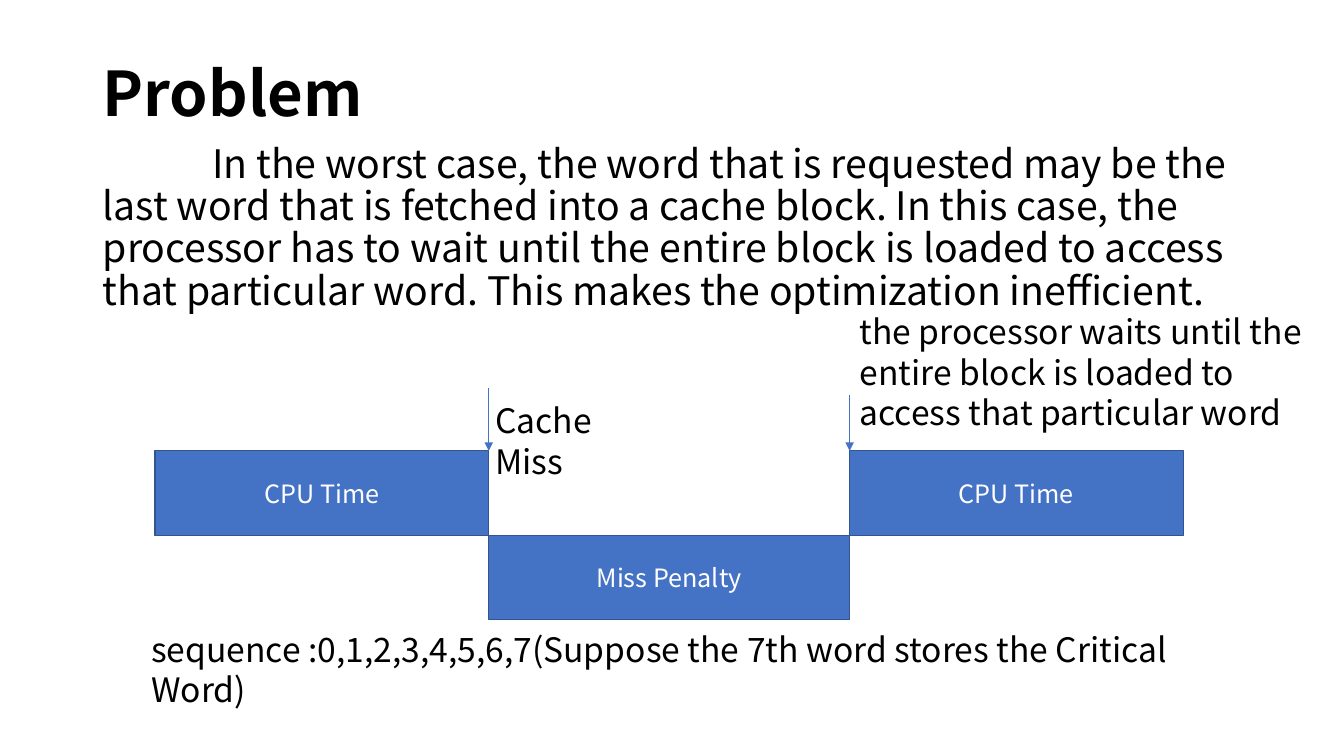
from lxml.etree import SubElement
from pptx import Presentation
from pptx.dml.color import RGBColor
from pptx.enum.shapes import MSO_CONNECTOR as Connector, MSO_SHAPE as Shape
from pptx.enum.text import MSO_ANCHOR as Anchor, PP_ALIGN as Align
from pptx.oxml.ns import qn
from pptx.util import Cm, Pt

COLORS = {"text": "000000", "block": "4472C4", "outline": "325491", "label": "FFFFFF"}
FONT = "Noto Sans CJK SC"
BODY = (
    "In the worst case, the word that is requested may be the last word that is "
    "fetched into a cache block. In this case, the processor has to wait until the "
    "entire block is loaded to access that particular word. This makes the "
    "optimization inefficient."
)
WAIT = "the processor waits until the entire block is loaded to access that particular word"
SEQUENCE = "sequence :0,1,2,3,4,5,6,7(Suppose the 7th word stores the Critical Word)"


def color(name):
    return RGBColor.from_string(COLORS[name])


def write(shape, text, size, name="text", bold=False):
    shape.text_frame.word_wrap = True
    paragraph = shape.text_frame.paragraphs[0]
    run = paragraph.add_run()
    run.text = text
    run.font.name = FONT
    run.font.size = Pt(size)
    run.font.bold = bold
    run.font.color.rgb = color(name)
    return paragraph


def add_text(slide, left, top, width, height, text, size, bold=False):
    shape = slide.shapes.add_textbox(Cm(left), Cm(top), Cm(width), Cm(height))
    return shape, write(shape, text, size, bold=bold)


def add_block(slide, left, top, width, height, text):
    shape = slide.shapes.add_shape(
        Shape.RECTANGLE, Cm(left), Cm(top), Cm(width), Cm(height)
    )
    shape.shadow.inherit = False
    shape.fill.solid()
    shape.fill.fore_color.rgb = color("block")
    shape.line.color.rgb = color("outline")
    shape.line.width = Pt(1)
    shape.text_frame.vertical_anchor = Anchor.MIDDLE
    write(shape, text, 18, "label").alignment = Align.CENTER


def add_down_arrow(slide, x, top, bottom):
    arrow = slide.shapes.add_connector(
        Connector.STRAIGHT, Cm(x), Cm(top), Cm(x), Cm(bottom)
    )
    arrow.line.color.rgb = color("block")
    arrow.line.width = Pt(0.5)
    SubElement(arrow.line._get_or_add_ln(), qn("a:tailEnd")).set("type", "triangle")
    SubElement(arrow._element.spPr, qn("a:effectLst"))


def add_title(slide, left, top, width, height):
    shape, paragraph = add_text(slide, left, top, width, height, "Problem", 44, True)
    shape.text_frame.vertical_anchor = Anchor.MIDDLE
    paragraph.line_spacing = 0.9


def add_body(slide, left, top, width, height):
    shape, paragraph = add_text(slide, left, top, width, height, BODY, 28)
    paragraph.line_spacing = 0.9
    paragraph.space_before = Pt(10)
    paragraph._p.get_or_add_pPr().set("indent", str(Cm(2.76)))


def add_timeline(slide, left, top, width, height):
    block_height = height / 2
    cpu_width = width * 0.3245
    miss = left + cpu_width
    resume = left + width - cpu_width
    add_block(slide, left, top, cpu_width, block_height, "CPU Time")
    add_block(slide, miss, top + block_height, resume - miss, block_height, "Miss Penalty")
    add_block(slide, resume, top, cpu_width, block_height, "CPU Time")
    add_down_arrow(slide, miss, top - 1.57, top)
    add_down_arrow(slide, resume, top - 1.4, top)
    add_text(slide, miss - 0.08, top - 1.4, 4.62, 1.27, "Cache Miss", 24)
    add_text(slide, resume, top - 3.64, 11.73, 3.33, WAIT, 24)
    add_text(slide, left - 0.35, top + height + 0.1, 26.75, 1.27, SEQUENCE, 24)


def main():
    presentation = Presentation()
    presentation.slide_width = Cm(33.87)
    presentation.slide_height = Cm(19.05)
    slide = presentation.slides.add_slide(presentation.slide_layouts[6])
    add_title(slide, 2.34, 0.71, 29.21, 3.43)
    add_body(slide, 2.34, 3.51, 29.21, 13.67)
    add_timeline(slide, 3.91, 11.36, 25.91, 4.26)
    presentation.save("out.pptx")


if __name__ == "__main__":
    main()
